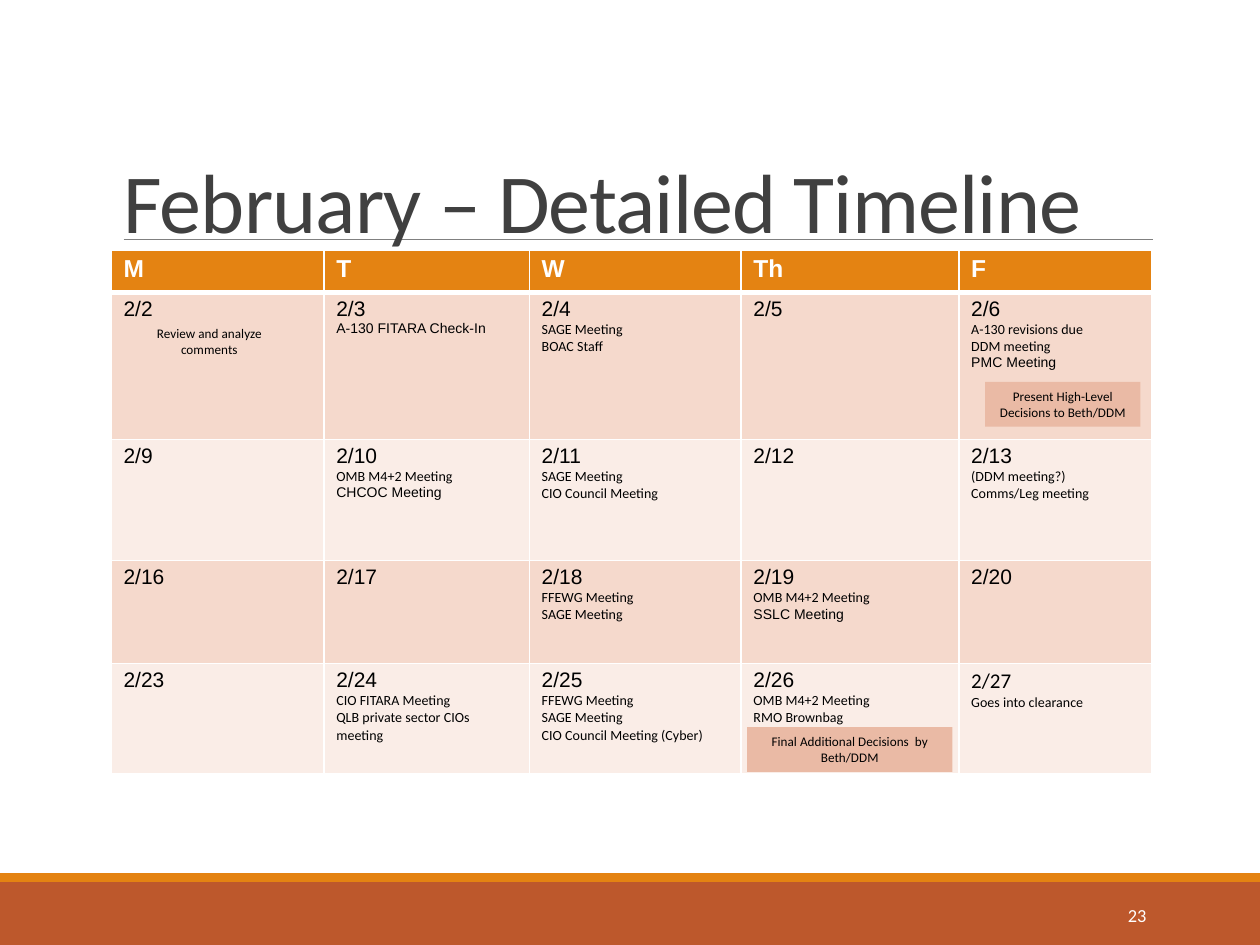
from dataclasses import dataclass

from lxml import etree
from pptx import Presentation
from pptx.dml.color import RGBColor
from pptx.enum.shapes import MSO_CONNECTOR, MSO_SHAPE
from pptx.enum.text import MSO_ANCHOR, PP_ALIGN
from pptx.oxml.ns import qn
from pptx.util import Cm, Pt

LEFT, MID, RIGHT = PP_ALIGN.LEFT, PP_ALIGN.CENTER, PP_ALIGN.RIGHT
TOP, CENTER, BASE = MSO_ANCHOR.TOP, MSO_ANCHOR.MIDDLE, MSO_ANCHOR.BOTTOM
RECT, LINE = MSO_SHAPE.RECTANGLE, MSO_CONNECTOR.STRAIGHT


@dataclass(frozen=True)
class Theme:
    sans: str = "Calibri"
    grid: str = "Arial"
    rust: str = "BD582C"
    gold: str = "E48312"
    bands: tuple = ("F5D9CC", "FAEDE7")
    tag: str = "EABAA5"
    rule: str = "808080"
    head: str = "404040"
    ink: str = "000000"
    white: str = "FFFFFF"
    title: float = 48
    day: float = 14
    date: float = 12
    note: float = 8
    small: float = 7.5
    page: float = 10.5


THEME = Theme()
DAYS = ["M", "T", "W", "Th", "F"]
WEEKS = [
    [["2/2"], ["2/3", "A-130 FITARA Check-In"],
     ["2/4", "SAGE Meeting", "BOAC Staff"], ["2/5"],
     ["2/6", "A-130 revisions due", "DDM meeting", "PMC Meeting"]],
    [["2/9"], ["2/10", "OMB M4+2 Meeting", "CHCOC Meeting"],
     ["2/11", "SAGE Meeting", "CIO Council Meeting"], ["2/12"],
     ["2/13", "(DDM meeting?)", "Comms/Leg meeting"]],
    [["2/16"], ["2/17"], ["2/18", "FFEWG Meeting", "SAGE Meeting"],
     ["2/19", "OMB M4+2 Meeting", "SSLC Meeting"], ["2/20"]],
    [["2/23"],
     ["2/24", "CIO FITARA Meeting", "QLB private sector CIOs meeting"],
     ["2/25", "FFEWG Meeting", "SAGE Meeting", "CIO Council Meeting (Cyber)"],
     ["2/26", "OMB M4+2 Meeting", "RMO Brownbag"],
     ["2/27", "Goes into clearance"]],
]
SANS_DATES = {"2/27"}
GRID_NOTES = {"A-130 FITARA Check-In", "PMC Meeting", "CHCOC Meeting",
              "SSLC Meeting"}
COLS = [4.29, 4.14, 4.27, 4.39, 3.89]
ROWS = [0.84, 2.97, 2.44, 2.08, 2.21]


def apply(item, form):
    for name, value in form.items():
        setattr(item, name, value)


def write(para, text, size, color, font=THEME.sans, bold=False, align=LEFT):
    para.alignment = align
    run = para.add_run()
    run.text = text
    apply(run.font, {"size": Pt(size), "name": font, "bold": bold})
    run.font.color.rgb = RGBColor.from_string(color)
    return run


def add_bar(slide, place, color):
    bar = slide.shapes.add_shape(RECT, *map(Cm, place))
    bar.shadow.inherit = False
    bar.fill.solid()
    bar.fill.fore_color.rgb = RGBColor.from_string(color)
    bar.line.fill.background()
    return bar


def set_text(shape, text, size, color, align=MID, anchor=TOP):
    frame = shape.text_frame
    apply(frame, {"word_wrap": True, "vertical_anchor": anchor})
    return write(frame.paragraphs[0], text, size, color, align=align)


def add_text(slide, place, *args, **form):
    box = slide.shapes.add_textbox(*map(Cm, place))
    return box, set_text(box, *args, **form)


def add_title(slide, text):
    box, run = add_text(slide, (2.24, 2.16, 20.96, 3.02), text, THEME.title,
                        THEME.head, align=LEFT, anchor=BASE)
    box.text_frame.paragraphs[0].line_spacing = 0.85
    run.font._element.set("spc", "-50")


def add_rule(slide):
    rule = slide.shapes.add_connector(LINE, Cm(2.49), Cm(4.83), Cm(23.24),
                                      Cm(4.83))
    rule.line.width = Pt(0.5)
    rule.line.color.rgb = RGBColor.from_string(THEME.rule)
    etree.SubElement(rule._element.spPr, qn("a:effectLst"))


def set_edge(cell, side, width):
    props = cell._tc.get_or_add_tcPr()
    edge = etree.SubElement(props, qn(f"a:ln{side}"), w=str(Pt(width)))
    fill = etree.SubElement(edge, qn("a:solidFill"))
    etree.SubElement(fill, qn("a:srgbClr"), val=THEME.white)


def style_cell(cell, color, edges):
    apply(cell, {"margin_left": Cm(0.25), "margin_right": Cm(0.25),
                 "margin_top": Cm(0.1), "margin_bottom": Cm(0.1)})
    for side, width in edges.items():
        set_edge(cell, side, width)
    cell.fill.solid()
    cell.fill.fore_color.rgb = RGBColor.from_string(color)


def fill_day(cell, lines):
    frame = cell.text_frame
    date, *notes = lines
    font = THEME.sans if date in SANS_DATES else THEME.grid
    write(frame.paragraphs[0], date, THEME.date, THEME.ink, font)
    for note in notes:
        font = THEME.grid if note in GRID_NOTES else THEME.sans
        write(frame.add_paragraph(), note, THEME.note, THEME.ink, font)


def add_month(slide):
    place = map(Cm, (2.24, 5.05, sum(COLS), sum(ROWS)))
    table = slide.shapes.add_table(len(ROWS), len(COLS), *place).table
    for col, width in zip(table.columns, COLS):
        col.width = Cm(width)
    for row, height in zip(table.rows, ROWS):
        row.height = Cm(height)
    for col, day in enumerate(DAYS):
        cell = table.cell(0, col)
        style_cell(cell, THEME.gold, {"L": 1, "R": 1, "T": 1, "B": 3})
        write(cell.text_frame.paragraphs[0], day, THEME.day, THEME.white,
              THEME.grid, True)
    for row, week in enumerate(WEEKS, 1):
        top = 3 if row == 1 else 1
        for col, lines in enumerate(week):
            cell = table.cell(row, col)
            style_cell(cell, THEME.bands[(row - 1) % 2],
                       {"L": 1, "R": 1, "T": top, "B": 1})
            fill_day(cell, lines)


def add_tag(slide, place, text):
    set_text(add_bar(slide, place, THEME.tag), text, THEME.small, THEME.ink)


def main():
    deck = Presentation()
    apply(deck, {"slide_width": Cm(25.4), "slide_height": Cm(19.05)})
    slide = deck.slides.add_slide(deck.slide_layouts[6])
    add_bar(slide, (0, 17.78, 25.4, 1.27), THEME.rust)
    add_bar(slide, (0, 17.6, 25.4, 0.18), THEME.gold)
    add_rule(slide)
    add_title(slide, "February – Detailed Timeline")
    add_month(slide)
    add_text(slide, (20.62, 17.93, 2.74, 1.02), "23", THEME.page,
             THEME.white, align=RIGHT, anchor=CENTER)
    add_text(slide, (2.44, 6.43, 3.56, 0.9), "Review and analyze comments",
             THEME.small, THEME.ink)
    add_tag(slide, (19.86, 7.7, 3.13, 0.9),
            "Present High-Level Decisions to Beth/DDM")
    add_tag(slide, (15.06, 14.66, 4.14, 0.9),
            "Final Additional Decisions  by Beth/DDM")
    deck.save("out.pptx")


if __name__ == "__main__":
    main()
